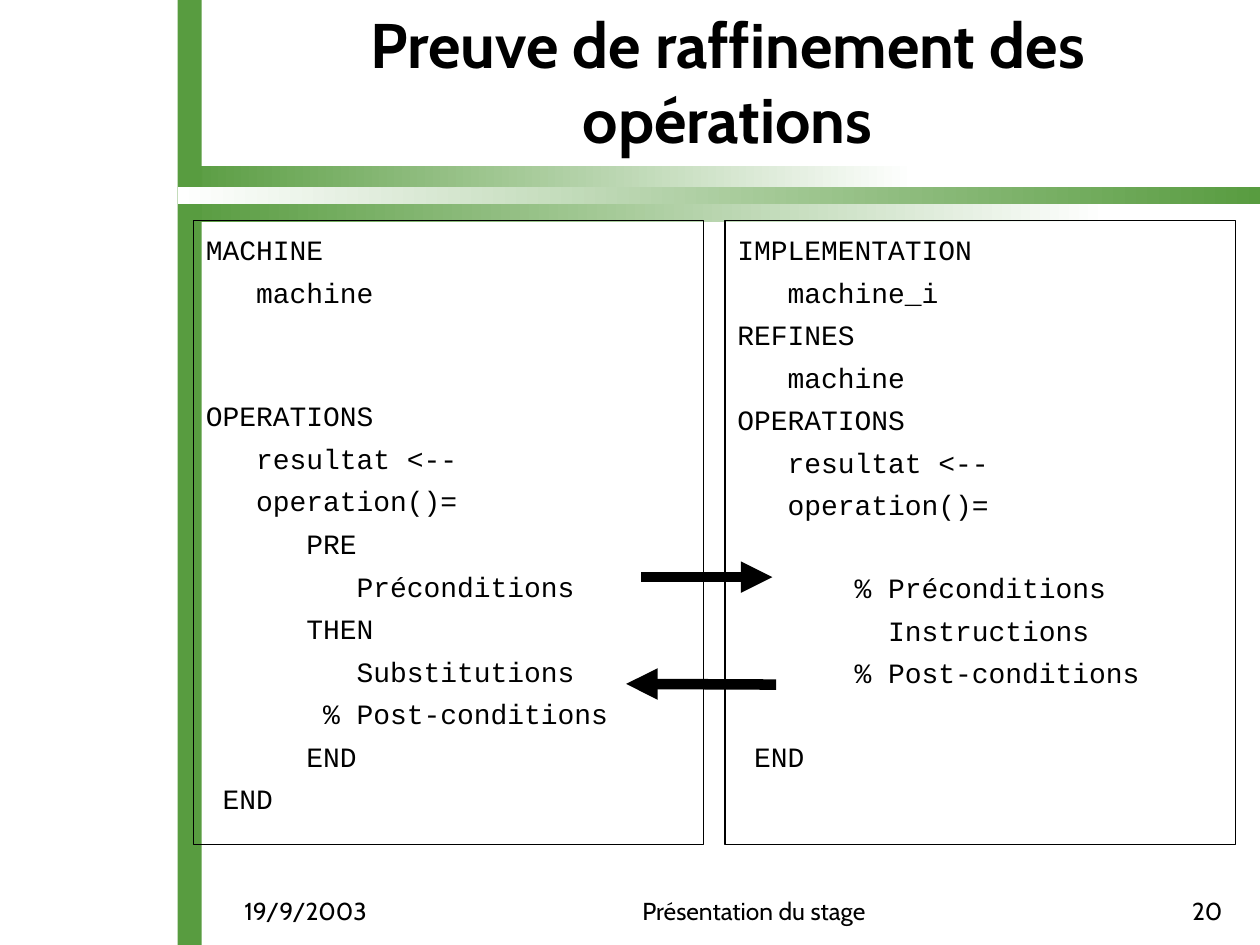
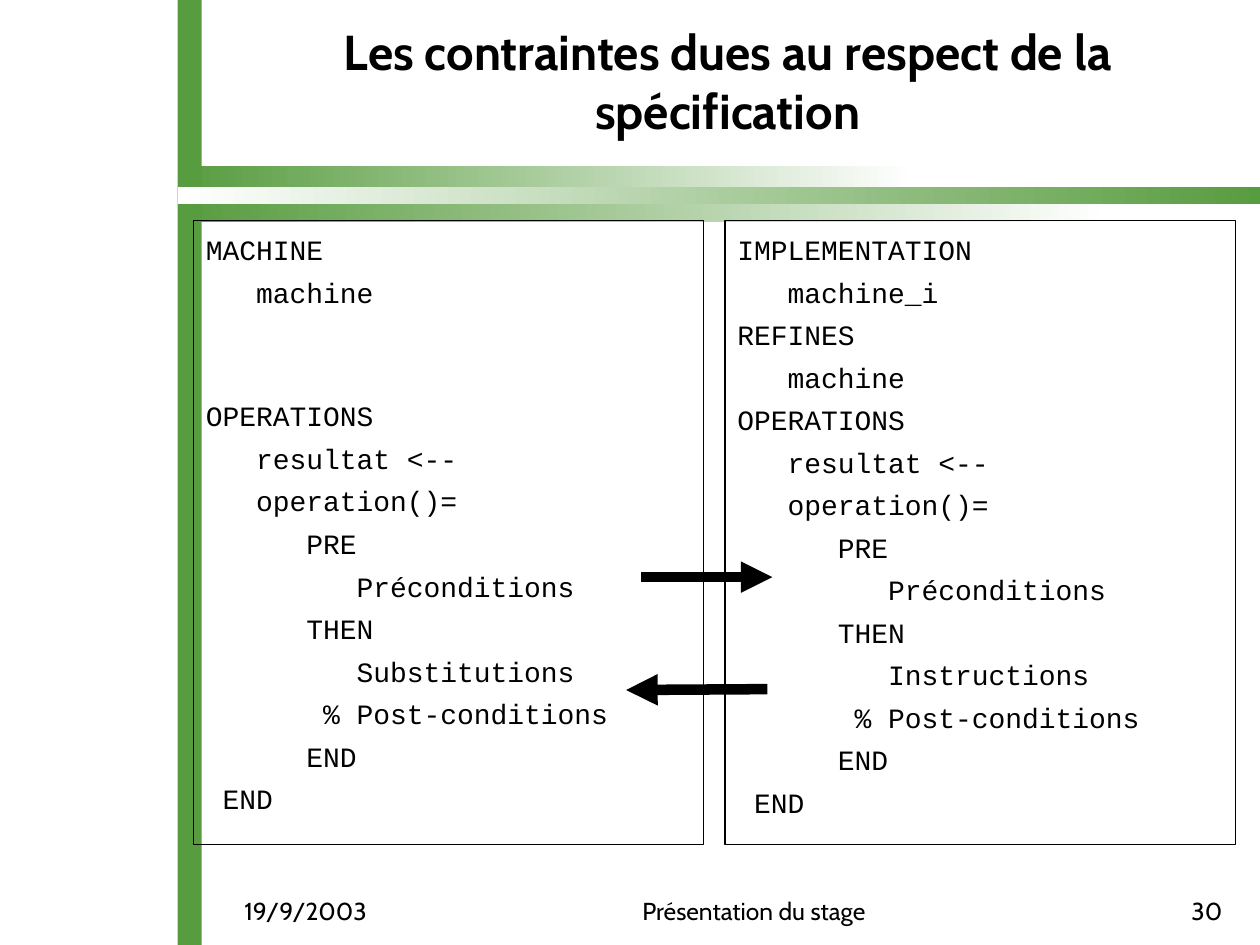
from typing import NamedTuple

from lxml.etree import SubElement
from pptx import Presentation
from pptx.dml.color import RGBColor
from pptx.enum.shapes import MSO_CONNECTOR, MSO_SHAPE
from pptx.enum.text import MSO_ANCHOR, MSO_AUTO_SIZE, PP_ALIGN
from pptx.oxml.ns import qn
from pptx.slide import Slide
from pptx.text.text import TextFrame
from pptx.util import Pt

GREEN, WHITE, BLACK = "589C40", "FFFFFF", "000000"
TITLE_FONT, CODE_FONT = "Cabin", "Courier New"
CODE_SIZE, CODE_GAP, CODE_PITCH = 16, 5.1, 23.2


class Box(NamedTuple):
    left: float
    top: float
    width: float
    height: float

    def lengths(self) -> list[Pt]:
        return [Pt(value) for value in self]


class Band(NamedTuple):
    box: Box
    start: str
    end: str


class Footer(NamedTuple):
    box: Box
    text: str
    align: PP_ALIGN


class Arrow(NamedTuple):
    start_x: float
    start_y: float
    end_x: float
    end_y: float


class Refinement(NamedTuple):
    title: str
    title_size: int
    implementation: list[str]
    arrows: list[Arrow]
    number: str


TITLE_BOX = Box(125.3, 3.6, 581, 85)
BANDS = [
    Band(Box(104.4, 108, 528.5, 18.7), GREEN, WHITE),
    Band(Box(103, 95, 419.8, 15.1), GREEN, WHITE),
    Band(Box(101.5, 0, 13.7, 540), GREEN, GREEN),
    Band(Box(101.5, 106.6, 618.5, 10.1), WHITE, GREEN),
]
MACHINE_BOX = Box(110.6, 126, 291.6, 356.4)
IMPLEMENTATION_BOX = MACHINE_BOX._replace(left=414.3)
DATE = Footer(Box(132.5, 508.3, 133.2, 18), "19/9/2003", PP_ALIGN.LEFT)
EVENT = Footer(Box(246.2, 508.3, 369.4, 20.9), "Présentation du stage", PP_ALIGN.CENTER)
NUMBER_BOX = Box(666, 508.3, 39.6, 20.9)

MACHINE = [
    "MACHINE",
    "   machine",
    "",
    "",
    "OPERATIONS",
    "   resultat <--",
    "   operation()=",
    "      PRE",
    "         Préconditions",
    "      THEN",
    "         Substitutions",
    "       % Post-conditions",
    "      END",
    " END",
]
IMPLEMENTATION_HEAD = [
    "IMPLEMENTATION",
    "   machine_i",
    "REFINES",
    "   machine",
    "OPERATIONS",
    "   resultat <--",
    "   operation()=",
]
PRECONDITION_ARROW = Arrow(366.5, 329.8, 441.4, 329.8)

REFINEMENTS = [
    Refinement(
        "Preuve de raffinement des opérations",
        36,
        IMPLEMENTATION_HEAD + [
            "",
            "       % Préconditions",
            "         Instructions",
            "       % Post-conditions",
            "",
            " END",
        ],
        [PRECONDITION_ARROW, Arrow(443.5, 391.2, 357.8, 390.8)],
        "20",
    ),
    Refinement(
        "Les contraintes dues au respect de la spécification",
        28,
        IMPLEMENTATION_HEAD + [
            "      PRE",
            "         Préconditions",
            "      THEN",
            "         Instructions",
            "       % Post-conditions",
            "      END",
            " END",
        ],
        [PRECONDITION_ARROW, Arrow(438.5, 393.8, 357.8, 394.3)],
        "30",
    ),
]


def color(value: str) -> RGBColor:
    return RGBColor.from_string(value)


def format_text(frame: TextFrame, font: str, size: float, align: PP_ALIGN, bold: bool = False) -> None:
    for para in frame.paragraphs:
        para.alignment = align
        for span in para.runs:
            span.font.name = font
            span.font.size = Pt(size)
            span.font.bold = bold
            span.font.color.rgb = color(BLACK)


def set_margins(frame: TextFrame, top: float) -> None:
    frame.margin_left = frame.margin_right = Pt(7.2)
    frame.margin_top, frame.margin_bottom = Pt(top), Pt(3.6)


def draw_band(slide: Slide, band: Band) -> None:
    shape = slide.shapes.add_shape(MSO_SHAPE.RECTANGLE, *band.box.lengths())
    shape.shadow.inherit = False
    shape.line.fill.background()
    if band.start == band.end:
        shape.fill.solid()
        shape.fill.fore_color.rgb = color(band.start)
        return
    shape.fill.gradient()
    shape.fill.gradient_angle = 0
    for stop, value in zip(shape.fill.gradient_stops, (band.start, band.end)):
        stop.color.rgb = color(value)


def draw_title(slide: Slide, text: str, size: int) -> None:
    title = slide.shapes.title
    title.left, title.top, title.width, title.height = TITLE_BOX.lengths()
    frame = title.text_frame
    frame.text = text
    frame.word_wrap = True
    frame.auto_size = MSO_AUTO_SIZE.NONE
    frame.vertical_anchor = MSO_ANCHOR.MIDDLE
    set_margins(frame, 3.6)
    format_text(frame, TITLE_FONT, size, PP_ALIGN.CENTER, bold=True)


def draw_arrow(slide: Slide, arrow: Arrow) -> None:
    line = slide.shapes.add_connector(MSO_CONNECTOR.STRAIGHT, *[Pt(value) for value in arrow])
    line.line.color.rgb = color(BLACK)
    line.line.width = Pt(6)
    SubElement(line.line._get_or_add_ln(), qn("a:tailEnd"), type="triangle")
    SubElement(line._element.spPr, qn("a:effectLst"))


def draw_code(slide: Slide, box: Box, lines: list[str]) -> None:
    """Draw a framed listing; an empty line becomes space before the next one."""
    shape = slide.shapes.add_shape(MSO_SHAPE.RECTANGLE, *box.lengths())
    shape.shadow.inherit = False
    shape.fill.background()
    shape.line.color.rgb = color(BLACK)
    shape.line.width = Pt(0.75)
    frame = shape.text_frame
    frame.word_wrap = True
    frame.vertical_anchor = MSO_ANCHOR.TOP
    set_margins(frame, 7)
    frame.text = lines[0]
    gap = CODE_GAP
    for line in lines[1:]:
        if not line:
            gap += CODE_PITCH
            continue
        para = frame.add_paragraph()
        para.text = line
        para.space_before = Pt(gap)
        gap = CODE_GAP
    format_text(frame, CODE_FONT, CODE_SIZE, PP_ALIGN.LEFT)


def draw_footer(slide: Slide, footer: Footer) -> None:
    frame = slide.shapes.add_textbox(*footer.box.lengths()).text_frame
    frame.text = footer.text
    frame.word_wrap = True
    set_margins(frame, 3.6)
    format_text(frame, TITLE_FONT, 14, footer.align)


def main() -> None:
    deck = Presentation()
    deck.slide_width, deck.slide_height = Pt(720), Pt(540)
    title_only = deck.slide_layouts[5]
    for refinement in REFINEMENTS:
        slide = deck.slides.add_slide(title_only)
        for band in BANDS:
            draw_band(slide, band)
        draw_title(slide, refinement.title, refinement.title_size)
        for arrow in refinement.arrows:
            draw_arrow(slide, arrow)
        draw_code(slide, MACHINE_BOX, MACHINE)
        draw_code(slide, IMPLEMENTATION_BOX, refinement.implementation)
        for footer in (EVENT, Footer(NUMBER_BOX, refinement.number, PP_ALIGN.RIGHT), DATE):
            draw_footer(slide, footer)
    deck.save("out.pptx")


if __name__ == "__main__":
    main()
